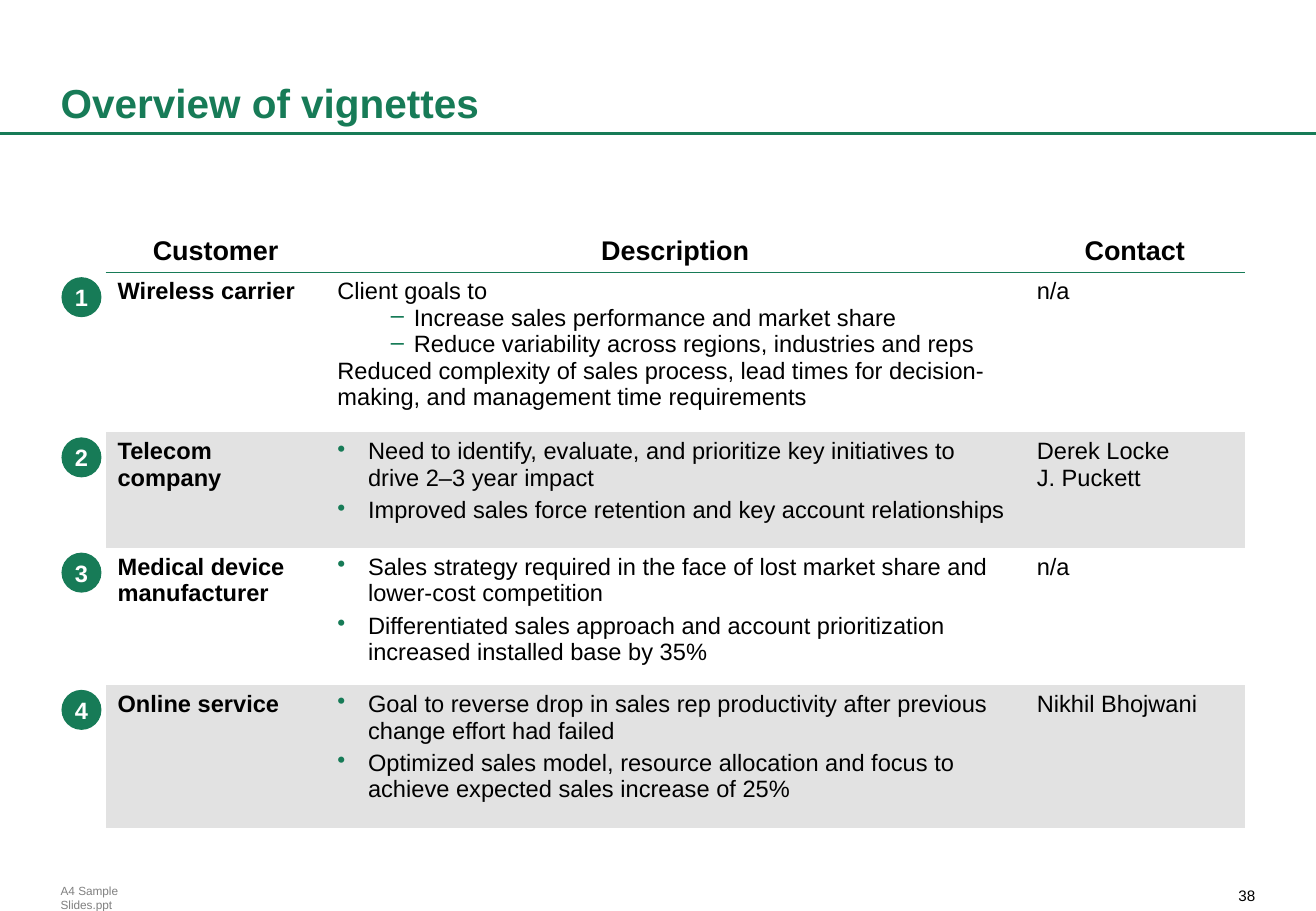
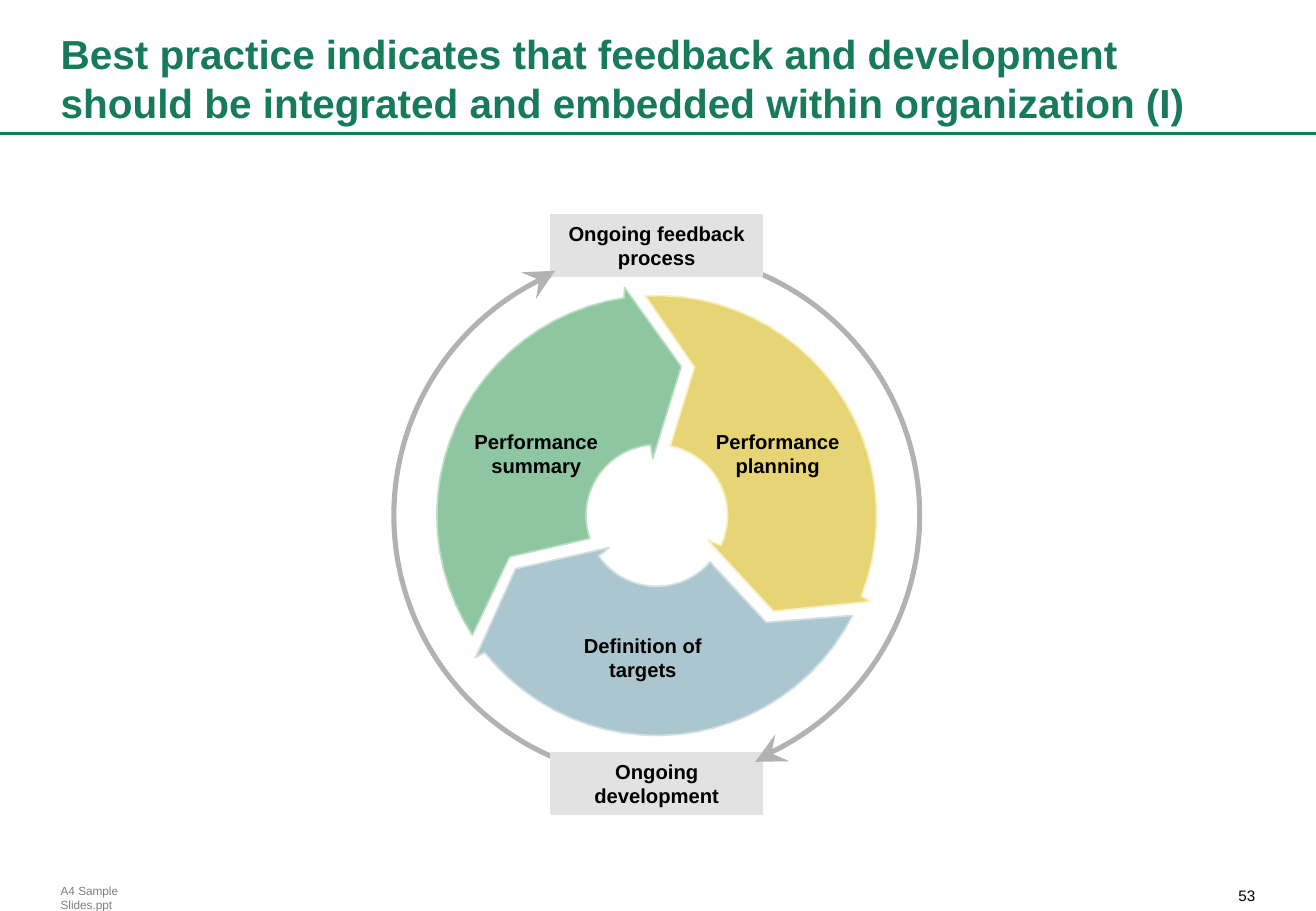
import math

from lxml import etree
from pptx import Presentation
from pptx.dml.color import RGBColor
from pptx.enum import shapes, text
from pptx.oxml.ns import qn
from pptx.util import Cm, Pt

GREEN = RGBColor(0x17, 0x7B, 0x57)
BLACK = RGBColor(0, 0, 0)
WHITE = RGBColor(0xFF, 0xFF, 0xFF)
FOOTER_GRAY = RGBColor(0x80, 0x80, 0x80)
BAND_GRAY = RGBColor(0xE2, 0xE2, 0xE2)
RING_GRAY = RGBColor(0xB2, 0xB2, 0xB2)
YELLOW, YELLOW_EDGE = RGBColor(0xE7, 0xD4, 0x75), RGBColor(0xF9, 0xEF, 0xBD)
BLUE, BLUE_EDGE = RGBColor(0xAC, 0xC6, 0xD0), RGBColor(0xD2, 0xE0, 0xE6)
MINT, MINT_EDGE = RGBColor(0x8E, 0xC6, 0xA1), RGBColor(0xBC, 0xDE, 0xC2)

FONT = "Arial"
WIDTH, HEIGHT = 27.53, 19.05
LEFT, CENTER, TOP = text.PP_ALIGN.LEFT, text.PP_ALIGN.CENTER, text.MSO_ANCHOR.TOP
MIDDLE, BOTTOM = text.MSO_ANCHOR.MIDDLE, text.MSO_ANCHOR.BOTTOM
INSETS = (0.25, 0.13)
NO_STYLE = "{2D5ABB26-0587-4C30-8999-92F81FD0307C}"

# Bullet kind: character, left margin, hanging indent, space before
BULLETS = {"dash": ("–", 1.6, 0.48, 0), "dot": ("•", 0.64, 0.64, 3.5)}

COLUMNS = (4.6, 14.63, 4.6)
ROW_HEIGHTS = (1.24, 3.35, 2.41, 2.87, 3.0)
TABLE_LEFT, TABLE_TOP = 2.21, 4.45
HEADINGS = ("Customer", "Description", "Contact")
VIGNETTES = [
    ("Wireless carrier",
     [("Client goals to", None),
      ("Increase sales performance and market share", "dash"),
      ("Reduce variability across regions, industries and reps", "dash"),
      ("Reduced complexity of sales process, lead times for decision-making, "
       "and management time requirements", None)],
     ["n/a"]),
    ("Telecom company",
     [("Need to identify, evaluate, and prioritize key initiatives to drive "
       "2–3 year impact", "dot"),
      ("Improved sales force retention and key account relationships", "dot")],
     ["Derek Locke", "J. Puckett"]),
    ("Medical device manufacturer",
     [("Sales strategy required in the face of lost market share and "
       "lower-cost competition", "dot"),
      ("Differentiated sales approach and account prioritization increased "
       "installed base by 35%", "dot")],
     ["n/a"]),
    ("Online service",
     [("Goal to reverse drop in sales rep productivity after previous change "
       "effort had failed", "dot"),
      ("Optimized sales model, resource allocation and focus to achieve "
       "expected sales increase of 25%", "dot")],
     ["Nikhil Bhojwani"]),
]

CYCLE_X, CYCLE_Y = 13.74, 10.78
RING_RADIUS, OUTER_RADIUS, INNER_RADIUS = 5.5, 4.6, 1.48


def add_bullet(p, kind):
    char, margin, hang, _ = BULLETS[kind]
    pPr = p._p.get_or_add_pPr()
    pPr.set("marL", str(Cm(margin)))
    pPr.set("indent", str(-Cm(hang)))
    color = etree.SubElement(pPr, qn("a:buClr"))
    etree.SubElement(color, qn("a:srgbClr")).set("val", str(GREEN))
    etree.SubElement(pPr, qn("a:buChar")).set("char", char)


def write(tf, items, size, color=BLACK, bold=False, align=LEFT):
    """Fill a text frame with (text, bullet kind) paragraphs."""
    for i, (line, kind) in enumerate(items):
        p = tf.add_paragraph() if i else tf.paragraphs[0]
        p.text = line
        p.alignment = align
        if kind:
            add_bullet(p, kind)
            p.space_before = Pt(BULLETS[kind][3] if i else 0)
        for r in p.runs:
            r.font.name, r.font.size, r.font.bold = FONT, Pt(size), bold
            r.font.color.rgb = color


def set_frame(tf, anchor, insets, wrap):
    tf.word_wrap, tf.vertical_anchor = wrap, anchor
    tf.margin_left = tf.margin_right = Cm(insets[0])
    tf.margin_top = tf.margin_bottom = Cm(insets[1])


def add_text(s, box, line, size, color=BLACK, bold=False, align=LEFT,
             anchor=TOP, insets=(0, 0), wrap=True):
    tf = s.shapes.add_textbox(*map(Cm, box)).text_frame
    set_frame(tf, anchor, insets, wrap)
    write(tf, [(line, None)], size, color, bold, align)


def paint(sp, fill, line, width):
    sp.shadow.inherit = False
    if fill is None:
        sp.fill.background()
    else:
        sp.fill.solid()
        sp.fill.fore_color.rgb = fill
    sp.line.color.rgb = line
    sp.line.width = Pt(width)


def add_shape(s, kind, box, fill, line, width):
    sp = s.shapes.add_shape(kind, *map(Cm, box))
    paint(sp, fill, line, width)
    return sp


def add_line(s, start, end, color, width, arrow=False):
    c = s.shapes.add_connector(shapes.MSO_CONNECTOR.STRAIGHT,
                               *map(Cm, (*start, *end)))
    c.line.color.rgb = color
    c.line.width = Pt(width)
    if arrow:
        ln = c.line._get_or_add_ln()
        etree.SubElement(ln, qn("a:tailEnd")).set("type", "stealth")
    etree.SubElement(c._element.spPr, qn("a:effectLst"))


def new_slide(prs, title, number):
    """Add a slide with the shared title, rule and footer."""
    s = prs.slides.add_slide(prs.slide_layouts[6])
    add_text(s, (25.73, 18.54, 0.53, 0.38), str(number), 9,
             align=text.PP_ALIGN.RIGHT, wrap=False)
    add_text(s, (1.27, 18.62, 2.34, 0.3), "A4 Sample Slides.ppt", 7,
             FOOTER_GRAY, anchor=MIDDLE, wrap=False)
    add_line(s, (WIDTH, 2.79), (0, 2.79), GREEN, 2.25)
    add_text(s, (1.27, 0.46, 24.97, 2.31), title, 24, GREEN, True,
             anchor=BOTTOM, insets=(0, 0.13))
    return s


def add_bottom_border(cell):
    tcPr = cell._tc.get_or_add_tcPr()
    ln = etree.Element(qn("a:lnB"), w=str(Pt(0.75)))
    fill = etree.SubElement(ln, qn("a:solidFill"))
    etree.SubElement(fill, qn("a:srgbClr")).set("val", str(GREEN))
    tcPr.insert(0, ln)


def fill_cell(cell, items, size, bold=False, align=LEFT, anchor=TOP, fill=None):
    write(cell.text_frame, items, size, bold=bold, align=align)
    cell.vertical_anchor = anchor
    cell.margin_left = cell.margin_right = Cm(INSETS[0])
    cell.margin_top = cell.margin_bottom = Cm(INSETS[1])
    if fill is None:
        cell.fill.background()
    else:
        cell.fill.solid()
        cell.fill.fore_color.rgb = fill


def add_vignette_table(s):
    frame = s.shapes.add_table(
        len(ROW_HEIGHTS), len(COLUMNS), Cm(TABLE_LEFT), Cm(TABLE_TOP),
        Cm(sum(COLUMNS)), Cm(sum(ROW_HEIGHTS)))
    for style in frame._element.iter(qn("a:tableStyleId")):
        style.text = NO_STYLE
    table = frame.table
    table.first_row = table.horz_banding = False
    for column, width in zip(table.columns, COLUMNS):
        column.width = Cm(width)
    for row, height in zip(table.rows, ROW_HEIGHTS):
        row.height = Cm(height)
    for i, heading in enumerate(HEADINGS):
        cell = table.cell(0, i)
        fill_cell(cell, [(heading, None)], 16, True, CENTER, BOTTOM)
        add_bottom_border(cell)
    for i, (customer, description, contacts) in enumerate(VIGNETTES, 1):
        fill = None if i % 2 else BAND_GRAY
        fill_cell(table.cell(i, 0), [(customer, None)], 14, True, fill=fill)
        fill_cell(table.cell(i, 1), description, 14, fill=fill)
        fill_cell(table.cell(i, 2), [(c, None) for c in contacts], 14, fill=fill)


def add_badge(s, number, top):
    sp = add_shape(s, shapes.MSO_SHAPE.OVAL, (1.3, top, 0.81, 0.81),
                   GREEN, GREEN, 0.75)
    set_frame(sp.text_frame, MIDDLE, (0, 0), False)
    write(sp.text_frame, [(str(number), None)], 14, WHITE, True, CENTER)


def arc(radius, start, end, steps=24):
    angles = [math.radians(start + (end - start) * i / steps)
              for i in range(steps + 1)]
    return [(radius * math.cos(a), radius * math.sin(a)) for a in angles]


def add_cycle_arrow(s, turn, fill, line):
    """Draw one third of the cycle, turned clockwise by some degrees."""
    outline = [(0.79, -3.1), *arc(INNER_RADIUS, -79, 25), (1.07, 0.52),
               (2.44, 2.0), (4.47, 1.8), *arc(OUTER_RADIUS, 21.5, -93)]
    cos, sin = math.cos(math.radians(turn)), math.sin(math.radians(turn))
    points = [(Cm(CYCLE_X + x * cos - y * sin), Cm(CYCLE_Y + x * sin + y * cos))
              for x, y in outline]
    builder = s.shapes.build_freeform(*points[0], scale=1.0)
    builder.add_line_segments(points[1:], close=True)
    paint(builder.convert_to_shape(), fill, line, 1)


def add_stage_box(s, line, top):
    width = 4.42
    sp = add_shape(s, shapes.MSO_SHAPE.RECTANGLE,
                   (CYCLE_X - width / 2, top, width, 1.27),
                   BAND_GRAY, BAND_GRAY, 1)
    set_frame(sp.text_frame, TOP, INSETS, True)
    write(sp.text_frame, [(line, None)], 12, bold=True, align=CENTER)


def vignettes_slide(prs):
    s = new_slide(prs, "Overview of vignettes", 38)
    add_vignette_table(s)
    for i in range(1, len(ROW_HEIGHTS)):
        add_badge(s, i, TABLE_TOP + sum(ROW_HEIGHTS[:i]) + 0.12)


def cycle_slide(prs):
    s = new_slide(prs, "Best practice indicates that feedback and development "
                  "should be integrated and embedded within organization (I)", 53)
    add_shape(s, shapes.MSO_SHAPE.OVAL,
              (CYCLE_X - RING_RADIUS, CYCLE_Y - RING_RADIUS,
               2 * RING_RADIUS, 2 * RING_RADIUS), None, RING_GRAY, 3)
    for turn, fill, line in ((240, MINT, MINT_EDGE), (0, YELLOW, YELLOW_EDGE),
                             (120, BLUE, BLUE_EDGE)):
        add_cycle_arrow(s, turn, fill, line)
    for line, left, top in (("Performance planning", 14.35, 8.84),
                            ("Performance summary", 9.3, 8.84),
                            ("Definition of targets", 11.53, 13.11)):
        add_text(s, (left, top, 3.84, 1.27), line, 12, bold=True,
                 align=CENTER, insets=INSETS)
    add_stage_box(s, "Ongoing feedback process", 4.5)
    add_stage_box(s, "Ongoing development", 15.75)
    add_line(s, (16.05, 15.8), (15.8, 15.93), RING_GRAY, 6, arrow=True)
    add_line(s, (11.38, 5.79), (11.61, 5.66), RING_GRAY, 6, arrow=True)


def main():
    prs = Presentation()
    prs.slide_width, prs.slide_height = Cm(WIDTH), Cm(HEIGHT)
    vignettes_slide(prs)
    cycle_slide(prs)
    prs.save("out.pptx")


if __name__ == "__main__":
    main()
